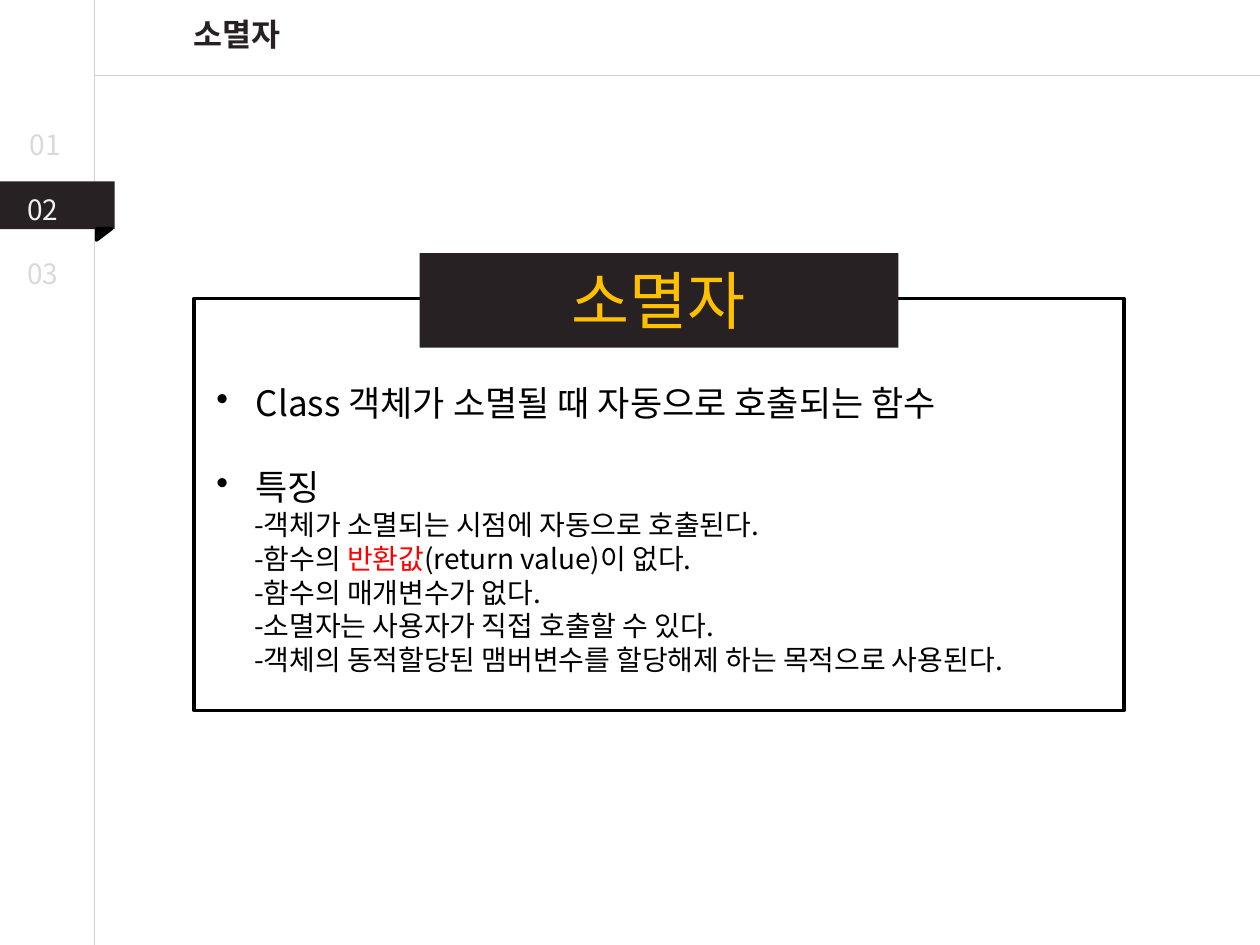
from dataclasses import dataclass

from lxml import etree
from pptx import Presentation
from pptx.dml.color import RGBColor
from pptx.enum import shapes as sh, text as tx
from pptx.oxml import ns
from pptx.util import Pt


@dataclass(frozen=True)
class Theme:
    face: str = "Noto Sans CJK KR"
    ink: str = "272123"
    black: str = "000000"
    rule: str = "D2D2D2"
    pale: str = "D9D9D9"
    light: str = "F2F2F2"
    gold: str = "FFC000"
    red: str = "FF0000"
    small: float = 16
    head: float = 18
    main: float = 20
    big: float = 36


@dataclass(frozen=True)
class Box:
    left: float
    top: float
    width: float
    height: float

    def points(self) -> list:
        return [Pt(n) for n in (self.left, self.top, self.width, self.height)]


@dataclass(frozen=True)
class Line:
    text: str
    size: float
    color: str = "000000"
    bold: bool = False
    center: bool = False
    bullet: bool = False
    indent: float = 0
    before: float = 0
    accent: str = ""


T = Theme()
PITCH = 1.2  # line height per point of type

deck = Presentation()
deck.slide_width, deck.slide_height = Pt(720), Pt(540)
slide = deck.slides.add_slide(deck.slide_layouts[6])


def rgb(code: str) -> RGBColor:
    return RGBColor.from_string(code)


def rule(x1: float, y1: float, x2: float, y2: float) -> None:
    line = slide.shapes.add_connector(
        sh.MSO_CONNECTOR.STRAIGHT, Pt(x1), Pt(y1), Pt(x2), Pt(y2))
    line.line.color.rgb = rgb(T.rule)
    line.line.width = Pt(0.75)
    etree.SubElement(line._element.spPr, ns.qn("a:effectLst"))


def block(box: Box, fill: str = "", edge: str = "",
          kind=sh.MSO_SHAPE.RECTANGLE, turn: float = 0) -> None:
    shape = slide.shapes.add_shape(kind, *box.points())
    shape.shadow.inherit = False
    shape.rotation = turn
    if fill:
        shape.fill.solid()
        shape.fill.fore_color.rgb = rgb(fill)
    else:
        shape.fill.background()
    if edge:
        shape.line.color.rgb = rgb(edge)
        shape.line.width = Pt(2)
    else:
        shape.line.fill.background()


def write(box: Box, *lines: Line) -> None:
    frame = slide.shapes.add_textbox(*box.points()).text_frame
    frame.word_wrap = True
    for i, line in enumerate(lines):
        para = frame.paragraphs[0] if i == 0 else frame.add_paragraph()
        para.alignment = tx.PP_ALIGN.CENTER if line.center else tx.PP_ALIGN.LEFT
        para.line_spacing = Pt(line.size * PITCH)
        para.space_before = Pt(line.before)
        font = para.font
        font.name, font.size, font.bold = T.face, Pt(line.size), line.bold
        font.color.rgb = rgb(line.color)
        # East Asian face beside the Latin one
        etree.SubElement(font._element, ns.qn("a:ea"), typeface=T.face)
        props = para._p.get_or_add_pPr()
        props.set("marL", str(Pt(line.indent)))
        if line.bullet:
            props.set("indent", str(-Pt(line.indent)))
            mark = etree.Element(ns.qn("a:buChar"), char="•")
            props.find(ns.qn("a:defRPr")).addprevious(mark)
        # Split off the accented word, if any
        parts = line.text.partition(line.accent) if line.accent else (line.text,)
        for part in parts:
            run = para.add_run()
            run.text = part
            if part == line.accent:
                run.font.color.rgb = rgb(T.red)


# Frame lines and heading
rule(54, 0, 54, 540)
rule(54.5, 43.2, 720, 43.2)
write(Box(58.3, 4.9, 154, 29),
      Line("소멸자", T.head, T.ink, bold=True, center=True))

# Ribbon for the current chapter
block(Box(0, 103.7, 65.5, 27.3), fill=T.ink)
block(Box(56.2, 129.6, 6.5, 8.6), T.black, T.black,
      sh.MSO_SHAPE.RIGHT_TRIANGLE, 90)

# Chapter numbers
TOP, STEP, NOW = 69.1, 37.1, 1
for i in range(3):
    write(Box(8.6 if i != NOW else 8.6, TOP + i * STEP, 42, 27) if i
          else Box(10, TOP, 42, 27),
          Line(f"{i + 1:02}", T.small, T.light if i == NOW else T.pale))

# Panel and its title plate
block(Box(110.9, 170.6, 531.4, 235.4), edge=T.black)
block(Box(239.8, 144.7, 273.6, 54), fill=T.ink)
write(Box(215.3, 146, 321.8, 51), Line("소멸자", T.big, T.gold, center=True))

# Body text
points = [
    ("객체가 소멸되는 시점에 자동으로 호출된다.", ""),
    ("함수의 반환값(return value)이 없다.", "반환값"),
    ("함수의 매개변수가 없다.", ""),
    ("소멸자는 사용자가 직접 호출할 수 있다.", ""),
    ("객체의 동적할당된 맴버변수를 할당해제 하는 목적으로 사용된다.", ""),
]
write(Box(116.6, 214.7, 525.6, 177),
      Line("Class 객체가 소멸될 때 자동으로 호출되는 함수", T.main,
           bullet=True, indent=22.5),
      Line("특징", T.main, bullet=True, indent=22.5, before=T.main * PITCH),
      *(Line("-" + text, T.small, indent=21.6, accent=word)
        for text, word in points))

deck.save("out.pptx")
